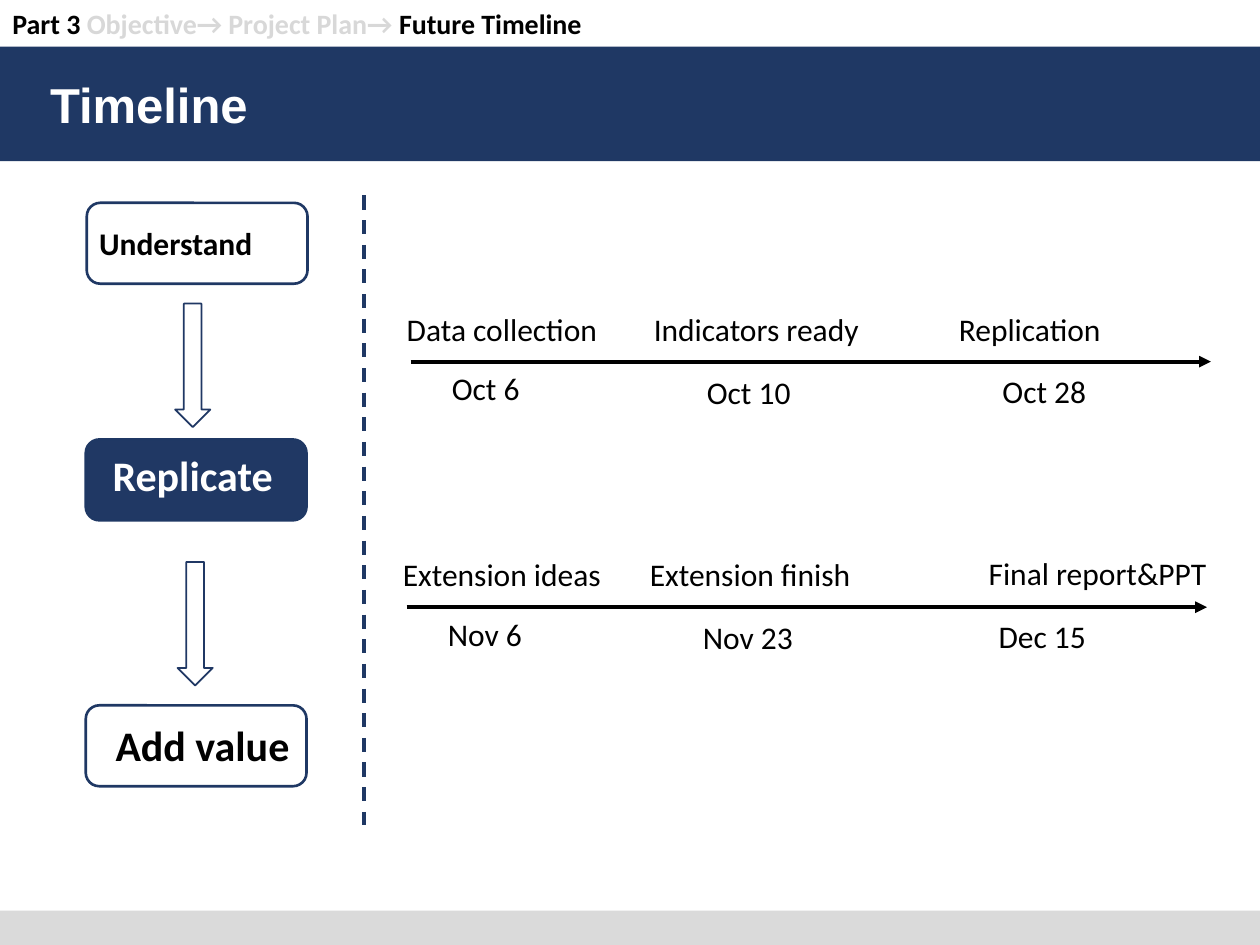
import pptx
import pptx.util
import pptx.dml.color
import pptx.enum.dml
import pptx.enum.shapes
import pptx.enum.text
import pptx.oxml.ns
import lxml.etree

Cm, Pt = pptx.util.Cm, pptx.util.Pt
RGB = pptx.dml.color.RGBColor
KIND = pptx.enum.shapes.MSO_SHAPE
ALIGN = pptx.enum.text.PP_ALIGN
qn = pptx.oxml.ns.qn

NAVY = RGB(0x1F, 0x38, 0x64)
DEEP = RGB(0x20, 0x38, 0x64)
BLACK = RGB(0, 0, 0)
WHITE = RGB(255, 255, 255)
PALE = RGB(0xD8, 0xD8, 0xD8)
GREY = RGB(0xDA, 0xDA, 0xDA)

# Content
CRUMBS = [("Part 3", BLACK), (" Objective→ Project Plan→ ", PALE),
          ("Future Timeline", BLACK)]

# Stage: word, box left and top, fill, text area, size, colour, alignment
STAGES = [
    ("Understand", (1.75, 4.09), None, (1.75, 4.39, 4.52, 1.02), 18, BLACK, ALIGN.LEFT),
    ("Replicate", (1.73, 8.86), DEEP, (1.83, 8.94, 4.11, 1.27), 24, WHITE, ALIGN.CENTER),
    ("Add value", (1.73, 14.22), None, (2.08, 14.38, 4.7, 1.27), 24, BLACK, ALIGN.LEFT),
]
ARROWS = [(2.64, 7.01), (2.69, 12.22)]

# Track: start of the arrow, then (words, shift right, shift down, width)
TRACKS = [
    ((8.28, 7.29), [
        ("Data collection", -0.33, -1.17, 4.55), ("Oct 6", 0.58, 0.03, 1.95),
        ("Indicators ready", 4.65, -1.17, 4.7), ("Oct 10", 5.72, 0.1, 2.25),
        ("Replication", 10.8, -1.17, 3.42), ("Oct 28", 11.68, 0.08, 2.25)]),
    ((8.2, 12.24), [
        ("Extension ideas", -0.33, -1.17, 4.55), ("Nov 6", 0.58, 0.03, 2.07),
        ("Extension finish", 4.65, -1.17, 4.62), ("Nov 23", 5.72, 0.1, 2.95),
        ("Final report&PPT", 11.48, -1.19, 5.0), ("Dec 15", 11.68, 0.08, 2.95)]),
]
SPAN = 16.13

deck = pptx.Presentation()
deck.slide_width, deck.slide_height = Cm(25.4), Cm(19.05)
slide = deck.slides.add_slide(deck.slide_layouts[6])


def put(area, runs, size, face="Calibri", bold=False, align=ALIGN.LEFT):
    """Add a text box holding one line of coloured runs."""
    frame = slide.shapes.add_textbox(*map(Cm, area)).text_frame
    frame.word_wrap = True
    line = frame.paragraphs[0]
    line.alignment = align
    for words, tone in runs:
        run = line.add_run()
        run.text = words
        run.font.color.rgb = tone
        for key, val in {"name": face, "size": Pt(size), "bold": bold}.items():
            setattr(run.font, key, val)


def shape(kind, area, fill=None, edge=None, width=1):
    """Add a preset shape with an optional fill and outline."""
    item = slide.shapes.add_shape(kind, *map(Cm, area))
    item.shadow.inherit = False
    if fill is None:
        item.fill.background()
    else:
        item.fill.solid()
        item.fill.fore_color.rgb = fill
    if edge is None:
        item.line.fill.background()
    else:
        item.line.color.rgb = edge
        item.line.width = Pt(width)
    return item


def rule(start, end, tone, width):
    """Add a straight line without a shadow."""
    item = slide.shapes.add_connector(
        pptx.enum.shapes.MSO_CONNECTOR.STRAIGHT, *map(Cm, start + end))
    item.line.color.rgb = tone
    item.line.width = Pt(width)
    lxml.etree.SubElement(item.element.spPr, qn("a:effectLst"))
    return item


# Header and footer
shape(KIND.RECTANGLE, (0, 0.94, 25.4, 2.31), NAVY)
put((0.76, 1.37, 24.64, 1.45), [("Timeline", WHITE)], 28, "Arial", True)
put((0, 0, 25.4, 1.63), CRUMBS, 16, bold=True)
shape(KIND.RECTANGLE, (0, 18.36, 25.4, 0.86), GREY)

# Stages
for word, spot, fill, area, size, tone, align in STAGES:
    shape(KIND.ROUNDED_RECTANGLE, spot + (4.45, 1.63), fill, NAVY, 1.5)
    put(area, [(word, tone)], size, bold=True, align=align)
for spot in ARROWS:
    shape(KIND.LEFT_ARROW, spot + (2.49, 0.71), None, DEEP).rotation = 270

# Divider
split = rule((7.34, 3.94), (7.34, 16.64), NAVY, 2)
split.line.dash_style = pptx.enum.dml.MSO_LINE.DASH

# Tracks
for (left, top), marks in TRACKS:
    track = rule((left, top), (left + SPAN, top), BLACK, 2.25)
    edge = track.element.spPr.find(qn("a:ln"))
    lxml.etree.SubElement(edge, qn("a:tailEnd"), type="triangle")
    for words, right, down, width in marks:
        put((left + right, top + down, width, 1.02), [(words, BLACK)], 18)

deck.save("out.pptx")
